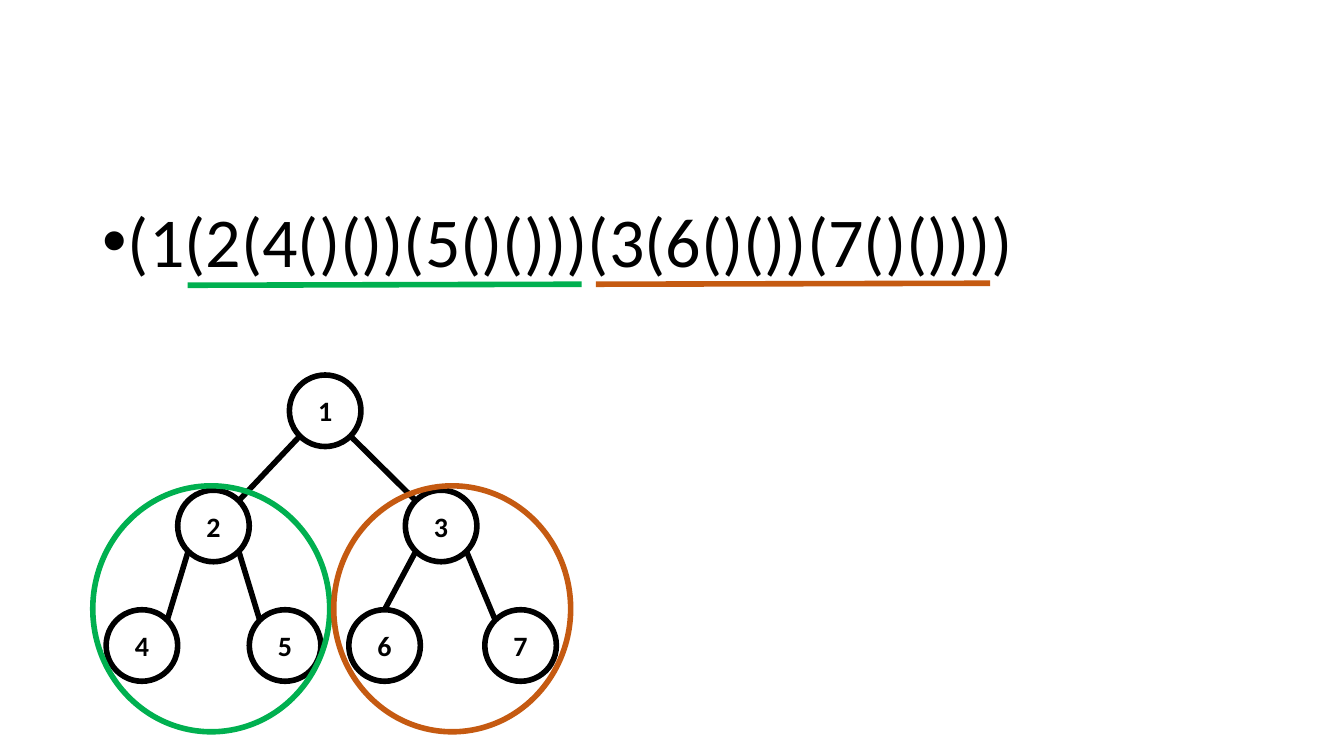
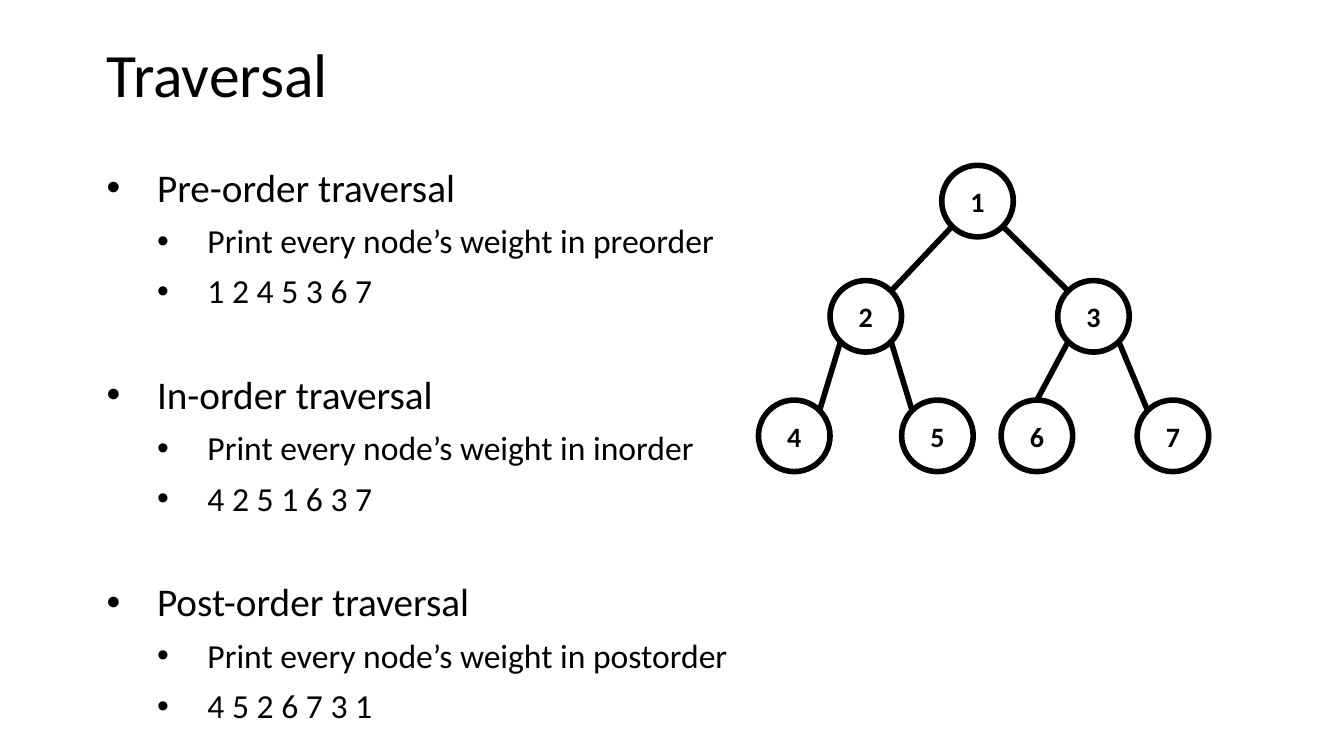
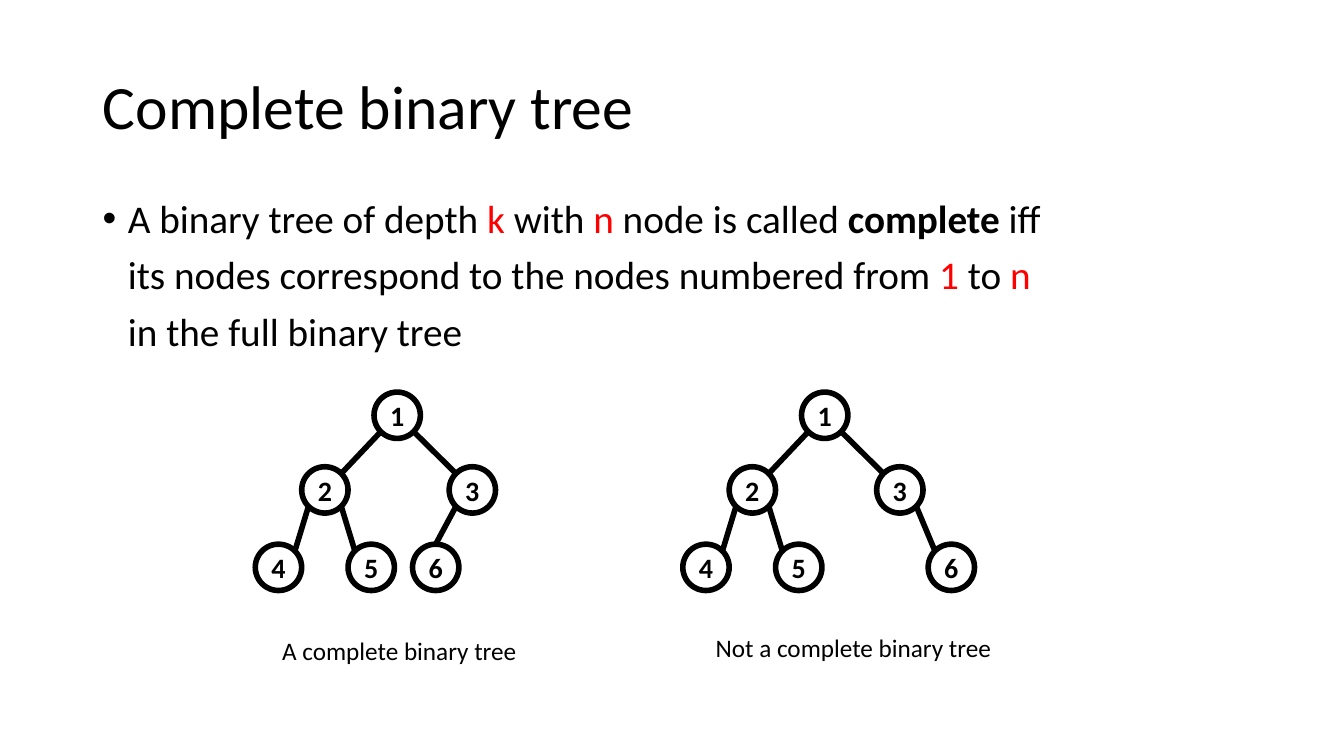
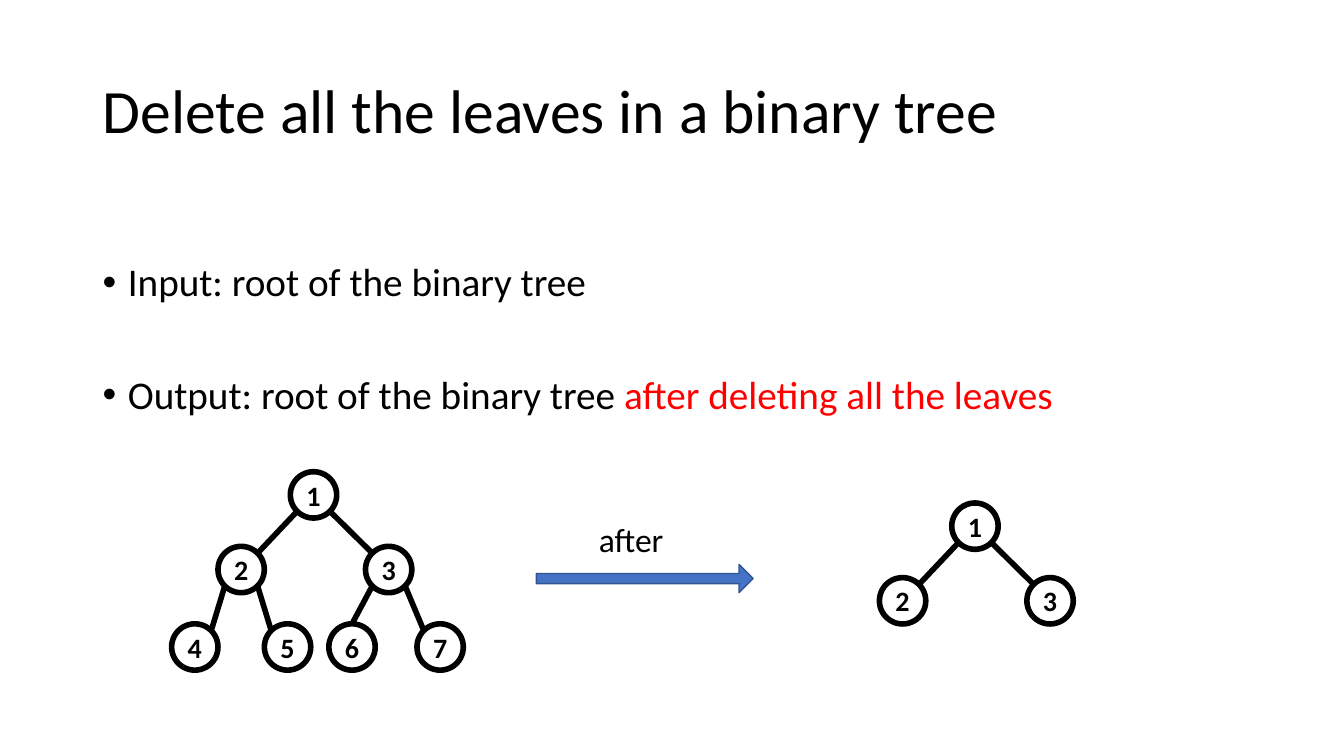
"""Build four slides on binary trees: notation, traversal, completeness and leaf deletion."""
from dataclasses import dataclass
from math import sqrt

from pptx import Presentation
from pptx.dml.color import RGBColor as RGB
from pptx.enum.shapes import MSO_CONNECTOR as CXN, MSO_SHAPE as SHAPE
from pptx.enum.text import MSO_ANCHOR as ANCHOR, MSO_AUTO_SIZE as AUTO, PP_ALIGN as ALIGN
from pptx.oxml.ns import qn
from pptx.util import Inches, Pt
from lxml.etree import SubElement


@dataclass(frozen=True)
class Theme:
    font: str = "Calibri"
    ink: RGB = RGB(0, 0, 0)
    red: RGB = RGB(0xFF, 0, 0)
    green: RGB = RGB(0, 0xB0, 0x50)
    orange: RGB = RGB(0xC5, 0x5A, 0x11)
    blue: RGB = RGB(0x44, 0x72, 0xC4)
    navy: RGB = RGB(0x32, 0x54, 0x91)
    title: int = 44
    formula: int = 50
    body: int = 28
    sub: int = 24
    node: int = 20
    caption: int = 18
    stroke: int = 4
    spacing: float = 0.9
    before: int = 10


@dataclass(frozen=True)
class Item:
    runs: tuple
    size: int = Theme.body
    left: float = 0.25
    hang: float = 0.25
    before: int = Theme.before
    level: int = 0


BIG, SMALL = 0.71, 0.46
NODE_OFFSETS = {
    1: (0, 0),
    2: (-1.56, 1.61), 3: (1.62, 1.61),
    4: (-2.56, 3.28), 5: (-0.56, 3.28), 6: (0.83, 3.28), 7: (2.73, 3.28),
}


class Deck:
    def __init__(self, theme):
        self.t = theme
        self.prs = Presentation()
        self.prs.slide_width, self.prs.slide_height = Inches(13.33), Inches(7.5)
        self.s = None

    def slide(self, title=None, left=0.92, top=0.4):
        self.s = self.prs.slides.add_slide(self.prs.slide_layouts[5 if title else 6])
        if title:
            sp = self.s.shapes.title
            self.place(sp, left, top, 11.5, 1.45)
            tf = sp.text_frame
            tf.text = title
            tf.word_wrap, tf.auto_size, tf.vertical_anchor = True, AUTO.NONE, ANCHOR.MIDDLE
            p = tf.paragraphs[0]
            p.alignment, p.line_spacing = ALIGN.LEFT, self.t.spacing
            self.font(p.runs[0], self.t.title)

    def place(self, sp, left, top, width, height):
        sp.left, sp.top, sp.width, sp.height = map(Inches, (left, top, width, height))

    def font(self, r, size, color=None, bold=False):
        f = r.font
        f.name, f.size, f.bold = self.t.font, Pt(size), bold
        f.color.rgb = color or self.t.ink

    def textbox(self, left, top, width, height):
        sp = self.s.shapes.add_textbox(*map(Inches, (left, top, width, height)))
        sp.text_frame.word_wrap = True
        return sp.text_frame

    def caption(self, text, left, top, width, size, align=ALIGN.LEFT):
        tf = self.textbox(left, top, width, 0.4)
        tf.text = text
        p = tf.paragraphs[0]
        p.alignment = align
        self.font(p.runs[0], size)

    def body(self, items, top, height, left=0.92):
        tf = self.textbox(left, top, 11.5, height)
        for i, item in enumerate(items):
            p = tf.add_paragraph() if i else tf.paragraphs[0]
            p.level, p.line_spacing, p.space_before = item.level, self.t.spacing, Pt(item.before)
            for text, color, bold in item.runs:
                r = p.add_run()
                r.text = text
                self.font(r, item.size, color, bold)
            pPr = p._p.get_or_add_pPr()
            pPr.set("marL", str(Inches(item.left)))
            pPr.set("indent", str(-Inches(item.hang)))
            if item.hang:
                SubElement(pPr, qn("a:buFont")).set("typeface", "Arial")
                SubElement(pPr, qn("a:buChar")).set("char", "•")

    def line(self, start, end, color=None, shapes=None):
        points = map(Inches, (*start, *end))
        cxn = (shapes or self.s.shapes).add_connector(CXN.STRAIGHT, *points)
        cxn.line.color.rgb, cxn.line.width = color or self.t.ink, Pt(self.t.stroke)
        SubElement(cxn._element.spPr, qn("a:effectLst"))

    def ring(self, left, top, width, height, color=None, shapes=None):
        box = map(Inches, (left, top, width, height))
        sp = (shapes or self.s.shapes).add_shape(SHAPE.OVAL, *box)
        sp.shadow.inherit = False
        sp.fill.background()
        sp.line.color.rgb, sp.line.width = color or self.t.ink, Pt(self.t.stroke)
        return sp

    def node(self, label, left, top, size, shapes):
        tf = self.ring(left, top, size, size, shapes=shapes).text_frame
        tf.margin_left = tf.margin_right = tf.margin_top = tf.margin_bottom = 0
        tf.text = str(label)
        tf.word_wrap, tf.vertical_anchor = False, ANCHOR.MIDDLE
        p = tf.paragraphs[0]
        p.alignment = ALIGN.CENTER
        self.font(p.runs[0], self.t.node, bold=True)

    def tree(self, left, top, size, slots=range(1, 8)):
        shapes = self.s.shapes.add_group_shape().shapes
        half = size / 2
        diagonal = half / sqrt(2)
        centers = {n: (left + half + x * size, top + half + y * size)
                   for n, (x, y) in NODE_OFFSETS.items()}
        for label, slot in enumerate(slots, 1):
            x, y = centers[slot]
            self.node(label, x - half, y - half, size, shapes)
            if slot > 1:
                px, py = centers[slot // 2]
                side = diagonal if slot % 2 else -diagonal
                end = (x, y - half) if slot == 6 else (x - side, y - diagonal)
                self.line((px + side, py + diagonal), end, shapes=shapes)

    def arrow(self, left, top, width, height):
        sp = self.s.shapes.add_shape(SHAPE.RIGHT_ARROW, *map(Inches, (left, top, width, height)))
        sp.shadow.inherit = False
        sp.adjustments[0], sp.adjustments[1] = 0.36, 0.5
        sp.fill.solid()
        sp.fill.fore_color.rgb = self.t.blue
        sp.line.color.rgb, sp.line.width = self.t.navy, Pt(1)


def plain(text):
    return (text, None, False)


def red(text):
    return (text, Theme.red, False)


def bold(text):
    return (text, None, True)


deck = Deck(Theme())
t = deck.t

deck.slide()
deck.body([Item((plain("(1(2(4()())(5()()))(3(6()())(7()())))"),), t.formula)], 2, 4.76)
deck.tree(2.87, 3.72, BIG)
for color, ring_left, line_left, line_top in ((t.green, 0.92, 1.86, 2.83),
                                              (t.orange, 3.31, 5.91, 2.82)):
    deck.ring(ring_left, 4.82, 2.35, 2.44, color)
    deck.line((line_left, line_top), (line_left + 3.91, line_top - 0.01), color)

deck.slide("Traversal", 0.96, 0.04)
traversals = []
for name, sequence in (("Pre", "1 2 4 5 3 6 7"), ("In", "4 2 5 1 6 3 7"),
                       ("Post", "4 5 2 6 7 3 1")):
    traversals.append(Item((plain(f"{name}-order traversal"),), left=0.5, hang=0.5, before=46))
    for text in (f"Print every node’s weight in {name.lower()}order", sequence):
        traversals.append(Item((plain(text),), t.sub, left=1, hang=0.5, level=1))
traversals[0] = Item(traversals[0].runs, left=0.5, hang=0.5)
deck.body(traversals, 1.62, 5.46, left=0.96)
deck.tree(9.34, 1.64, BIG)

deck.slide("Complete binary tree", top=0.36)
deck.body([
    Item((plain("A binary tree of depth "), red("k "), plain("with "), red("n "),
          plain("node is called "), bold("complete "), plain("iff"))),
    Item((plain("its nodes correspond to the nodes numbered from "), red("1"),
          plain(" to "), red("n")), hang=0),
    Item((plain("in the full binary tree"),), hang=0),
], 1.93, 1.8)
deck.tree(3.71, 3.89, SMALL, (1, 2, 3, 4, 5, 6))
deck.tree(7.95, 3.89, SMALL, (1, 2, 3, 4, 5, 7))
deck.caption("A complete binary tree", 2.7, 6.25, 2.63, t.caption)
deck.caption("Not a complete binary tree", 7, 6.22, 2.97, t.caption)

deck.slide("Delete all the leaves in a binary tree")
deck.body([
    Item((plain("Input: root of the binary tree"),)),
    Item((plain("Output: root of the binary tree "), red("after deleting all the leaves")),
         before=50),
], 2.56, 1.9)
deck.tree(2.88, 4.68, SMALL)
deck.caption("after", 5.38, 5.1, 1.76, t.sub, ALIGN.CENTER)
deck.arrow(5.32, 5.6, 2.15, 0.28)
deck.tree(9.44, 4.99, SMALL, (1, 2, 3))

deck.prs.save("out.pptx")
